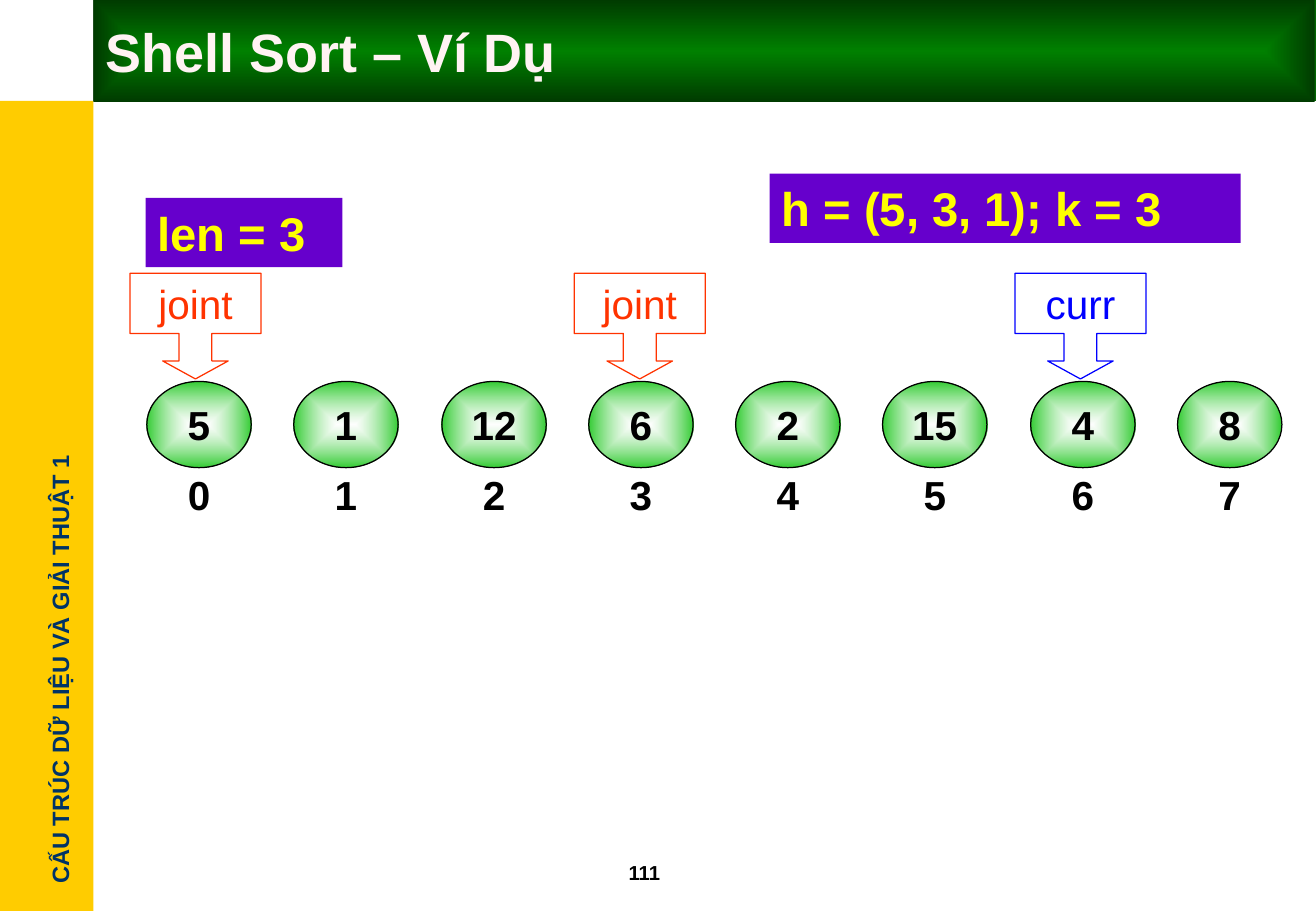
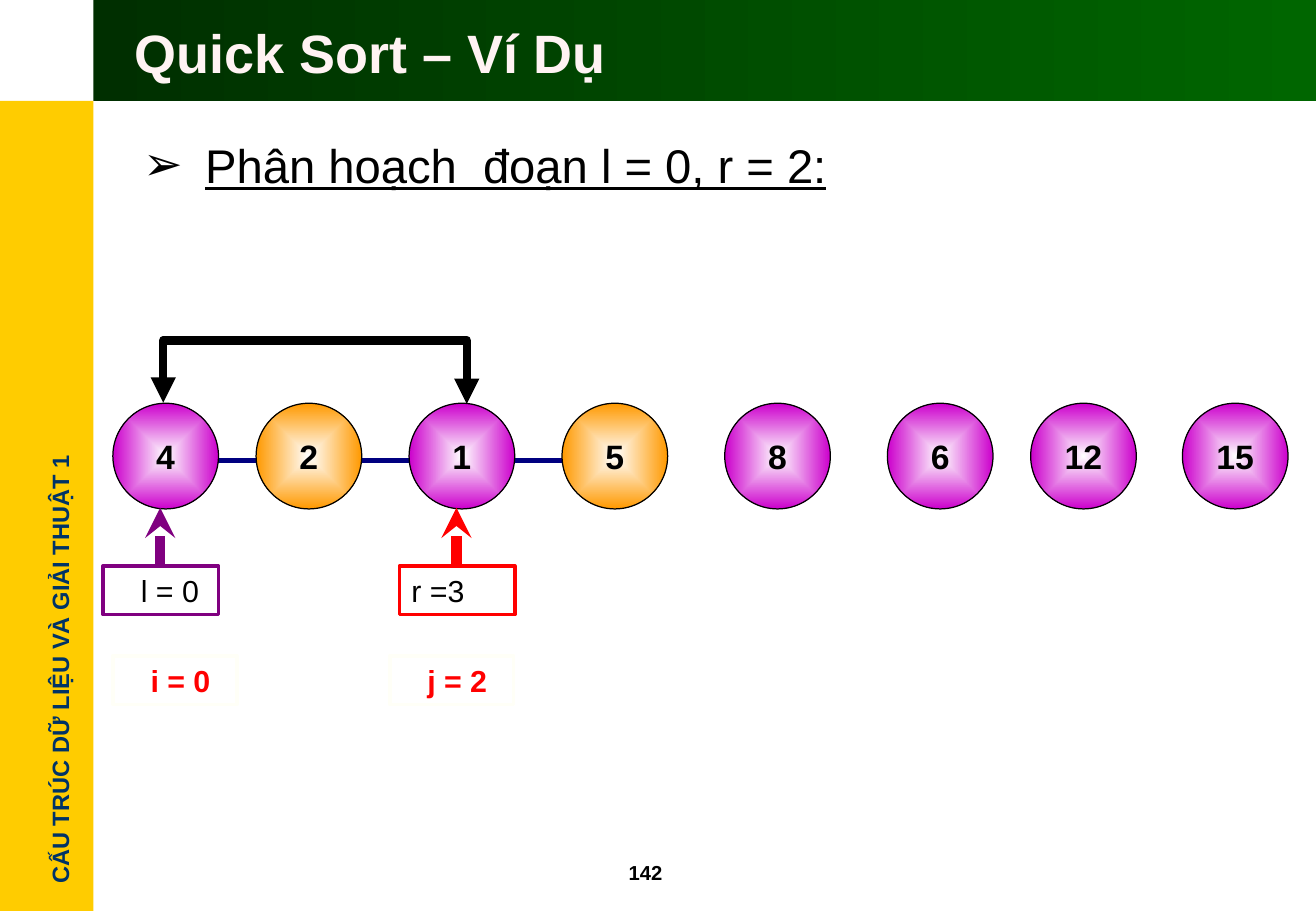
import pptx
import pptx.dml.color
import pptx.enum.shapes
import pptx.enum.text
import pptx.oxml
import pptx.oxml.ns
import pptx.util

RGB = pptx.dml.color.RGBColor
SHAPE = pptx.enum.shapes.MSO_SHAPE
CONNECTOR = pptx.enum.shapes.MSO_CONNECTOR
ALIGN = pptx.enum.text.PP_ALIGN
ANCHOR = pptx.enum.text.MSO_ANCHOR
DRAWING = 'xmlns:a="http://schemas.openxmlformats.org/drawingml/2006/main"'

# One px is a hundredth of an inch
SCALE = 9144
PAGE_WIDTH, PAGE_HEIGHT = 1084, 750
SIDE_WIDTH, BAND_HEIGHT = 77, 83

BLACK = RGB(0x00, 0x00, 0x00)
WHITE = RGB(0xFF, 0xFF, 0xFF)
GOLD = RGB(0xFF, 0xCC, 0x00)
NAVY_TEXT = RGB(0x00, 0x33, 0x66)
TITLE_TEXT = RGB(0xFF, 0xF3, 0xF3)
BAND_DARK = RGB(0x00, 0x2F, 0x00)
BAND_LIGHT = RGB(0x00, 0x66, 0x00)
TITLE_CENTRE = RGB(0x00, 0x80, 0x00)
TITLE_EDGE = RGB(0x00, 0x3B, 0x00)
GREEN = RGB(0x33, 0xCC, 0x33)
VIOLET = RGB(0x66, 0x00, 0xCC)
YELLOW = RGB(0xFF, 0xFF, 0x00)
BLUE = RGB(0x00, 0x00, 0xFF)
ORANGE_RED = RGB(0xFF, 0x33, 0x00)
MAGENTA = RGB(0xCC, 0x00, 0xCC)
ORANGE = RGB(0xFF, 0x99, 0x00)
NAVY = RGB(0x00, 0x00, 0x80)
PURPLE = RGB(0x80, 0x00, 0x80)
RED = RGB(0xFF, 0x00, 0x00)
IVORY = RGB(0xFF, 0xFF, 0xF7)


def px(*lengths):
    return [pptx.util.Emu(length * SCALE) for length in lengths]


def write(shape, text, size, color=BLACK, align=ALIGN.LEFT, anchor=ANCHOR.TOP,
          wrap=True, inset=10, **font_format):
    """Fill a shape with one formatted paragraph and return it."""
    frame_format = {"word_wrap": wrap, "vertical_anchor": anchor,
                    "auto_size": pptx.enum.text.MSO_AUTO_SIZE.NONE}
    frame_format.update(zip(
        ("margin_left", "margin_top", "margin_right", "margin_bottom"),
        px(inset, 5, 10, 5)))
    for name, value in frame_format.items():
        setattr(shape.text_frame, name, value)
    para = shape.text_frame.paragraphs[0]
    para.alignment = align
    para.space_before = pptx.util.Pt(0)
    span = para.add_run()
    span.text = text
    span_format = {"name": "Arial", "size": pptx.util.Pt(size), **font_format}
    for name, value in span_format.items():
        setattr(span.font, name, value)
    span.font.color.rgb = color
    return para


def draw(page, kind, box, fill=None, line=None, weight=0.75):
    shape = page.shapes.add_shape(kind, *px(*box))
    shape.shadow.inherit = False
    if fill is None:
        shape.fill.background()
    else:
        shape.fill.solid()
        shape.fill.fore_color.rgb = fill
    if line is None:
        shape.line.fill.background()
    else:
        shape.line.color.rgb = line
        shape.line.width = pptx.util.Pt(weight)
    return shape


def shade(shape, centre, edge, opacity=100):
    """Give a shape a gradient that runs from its centre to its edges."""
    shape.fill.background()
    blank = shape.element.spPr.find(pptx.oxml.ns.qn("a:noFill"))
    gradient = pptx.oxml.parse_xml(
        f'<a:gradFill {DRAWING} rotWithShape="1"><a:gsLst>'
        f'<a:gs pos="0"><a:srgbClr val="{centre}">'
        f'<a:alpha val="{opacity * 1000}"/></a:srgbClr></a:gs>'
        f'<a:gs pos="100000"><a:srgbClr val="{edge}"/></a:gs></a:gsLst>'
        '<a:path path="rect"><a:fillToRect l="50000" t="50000" r="50000"'
        ' b="50000"/></a:path></a:gradFill>')
    shape.element.spPr.replace(blank, gradient)


def connect(page, start, end, color, weight, kind=CONNECTOR.STRAIGHT,
            head=None, tail=None):
    link = page.shapes.add_connector(kind, *px(*start, *end))
    link.line.color.rgb = color
    link.line.width = pptx.util.Pt(weight)
    outline = link.line._get_or_add_ln()
    for tag, tip in (("headEnd", head), ("tailEnd", tail)):
        if tip:
            outline.append(pptx.oxml.parse_xml(f'<a:{tag} {DRAWING} type="{tip}"/>'))
    link.element.spPr.append(pptx.oxml.parse_xml(f"<a:effectLst {DRAWING}/>"))
    return link


# Parts that the slides share

def build_master(deck):
    """Put the side bar, its label and the title band on the slide master."""
    page = deck.slides[0]
    side = draw(page, SHAPE.RECTANGLE,
                (0, BAND_HEIGHT, SIDE_WIDTH, PAGE_HEIGHT - BAND_HEIGHT), GOLD)
    label = page.shapes.add_textbox(*px(-137, 534, 373, 34))
    label.rotation = 270
    write(label, "CẤU TRÚC DỮ LIỆU VÀ GIẢI THUẬT 1", 14, NAVY_TEXT,
          wrap=False, bold=True)
    band = draw(page, SHAPE.RECTANGLE,
                (SIDE_WIDTH, 0, PAGE_WIDTH - SIDE_WIDTH, BAND_HEIGHT))
    band.fill.gradient()
    band.fill.gradient_angle = 0
    for stop, color in zip(band.fill.gradient_stops, (BAND_DARK, BAND_LIGHT)):
        stop.color.rgb = color
    for shape in (side, label, band):
        deck.slide_master.shapes.element.append(shape.element)


def place(holder, box):
    for name, value in zip(("left", "top", "width", "height"), px(*box)):
        setattr(holder, name, value)


def head_page(page, title, box, number):
    """Set the title and the page number."""
    place(page.shapes.title, box)
    write(page.shapes.title, title, 32, TITLE_TEXT, anchor=ANCHOR.MIDDLE, bold=True)
    write(page.shapes.add_textbox(*px(508, 703, 83, 30)), number, 12, bold=True)


def add_ball(page, box, value, size, color, anchor, opacity=100):
    ball = draw(page, SHAPE.OVAL, box, line=BLACK)
    shade(ball, WHITE, color, opacity)
    write(ball, value, size, align=ALIGN.CENTER, anchor=anchor, wrap=False, bold=True)


# Shell sort

def shell_array(page, box, values):
    """Draw the numbered row of green balls over the given box."""
    left, top, width, height = box
    ball_width = 86
    pitch = (width - ball_width) / (len(values) - 1)
    for index, value in enumerate(values):
        x = left + round(index * pitch)
        add_ball(page, (x, top, ball_width, height), value, 24, GREEN, ANCHOR.TOP, 60)
        caption = page.shapes.add_textbox(*px(x, top + height - 3, ball_width, 50))
        write(caption, str(index), 24, align=ALIGN.CENTER, bold=True)


def add_tag(page, box, text):
    write(draw(page, SHAPE.RECTANGLE, box, VIOLET), text, 28, YELLOW, bold=True)


def add_callout(page, left, top, text, color):
    callout = draw(page, SHAPE.DOWN_ARROW_CALLOUT, (left, top, 108, 87), line=color)
    for index, value in enumerate((0.31, 0.31, 0.17, 0.57)):
        callout.adjustments[index] = value
    write(callout, text, 24, color, align=ALIGN.CENTER)


def shell_page(page):
    head_page(page, "Shell Sort – Ví Dụ", (77, 0, 1006, 84), "111")
    shade(page.shapes.title, TITLE_CENTRE, TITLE_EDGE)
    shell_array(page, (121, 314, 935, 71), ("5", "1", "12", "6", "2", "15", "4", "8"))
    add_tag(page, (634, 143, 388, 57), "h = (5, 3, 1); k = 3")
    add_tag(page, (120, 163, 162, 57), "len = 3")
    for left, text, color in ((107, "joint", ORANGE_RED), (473, "joint", ORANGE_RED),
                              (836, "curr", BLUE)):
        add_callout(page, left, 225, text, color)


# Quick sort

def partition_heading(holder, box, text):
    """Write the bulleted, underlined line of the body."""
    place(holder, box)
    para = write(holder, text, 28, underline=True)
    properties = para._p.get_or_add_pPr()
    for name, value in (("marL", 51), ("indent", -51)):
        properties.set(name, str(value * SCALE))
    for bullet in (f'<a:buClr {DRAWING}><a:srgbClr val="{BLACK}"/></a:buClr>',
                   f'<a:buFont {DRAWING} typeface="Arial"/>',
                   f'<a:buChar {DRAWING} char="➢"/>'):
        properties.append(pptx.oxml.parse_xml(bullet))


def quick_array(page, top, balls):
    connect(page, (132, top + 47), (502, top + 47), NAVY, 3)
    for left, value, color in balls:
        add_ball(page, (left, top, 87, 87), value, 20, color, ANCHOR.MIDDLE)


def add_bound(page, box, text, color, inset):
    """Draw a boxed bound with an arrow up to its ball."""
    left, top, width, height = box
    bound = draw(page, SHAPE.RECTANGLE, box, line=color, weight=2.25)
    write(bound, text, 18, inset=inset)
    middle = left + width // 2
    connect(page, (middle, top), (middle, top - 48), color, 6, tail="stealth")


def add_index(page, left, text):
    index = draw(page, SHAPE.RECTANGLE, (left, 540, 102, 40), line=IVORY, weight=2.25)
    write(index, text, 18, RED, inset=31, bold=True)


def swap_arrow(page, left, right, bottom, rise):
    """Join two balls from above with an elbow turned on its side."""
    span, middle = right - left, (left + right) // 2
    start = (middle, bottom - span // 2)
    arrow = connect(page, start, (middle + 1, start[1] + span), BLACK, 5,
                    CONNECTOR.ELBOW, "triangle", "triangle")
    frame = arrow.element.spPr.find(pptx.oxml.ns.qn("a:xfrm"))
    for name, value in (("rot", 270 * 60000), ("flipH", 1)):
        frame.set(name, str(value))
    geometry = arrow.element.spPr.find(pptx.oxml.ns.qn("a:prstGeom"))
    for guides in list(geometry):
        geometry.remove(guides)
    geometry.append(pptx.oxml.parse_xml(
        f'<a:avLst {DRAWING}><a:gd name="adj1" fmla="val {-rise * 100000}"/></a:avLst>'))


def quick_page(page):
    head_page(page, "Quick Sort – Ví Dụ", (101, 9, 961, 67), "142")
    partition_heading(page.placeholders[1], (108, 107, 650, 110),
                      "Phân hoạch  đoạn l = 0, r = 2:")
    quick_array(page, 332, (
        (93, "4", MAGENTA), (211, "2", ORANGE), (337, "1", MAGENTA),
        (463, "5", ORANGE), (597, "8", MAGENTA), (731, "6", MAGENTA),
        (849, "12", MAGENTA), (974, "15", MAGENTA)))
    add_bound(page, (85, 466, 95, 40), "l = 0", PURPLE, 31)
    add_bound(page, (329, 466, 95, 40), "r =3", RED, 10)
    add_index(page, 93, "i = 0")
    add_index(page, 321, "j = 2")
    swap_arrow(page, 134, 384, 332, 52)


def main():
    deck = pptx.Presentation()
    deck.slide_width, deck.slide_height = px(PAGE_WIDTH, PAGE_HEIGHT)
    title_only, title_and_body = deck.slide_layouts[5], deck.slide_layouts[1]
    first_page = deck.slides.add_slide(title_only)
    build_master(deck)
    shell_page(first_page)
    quick_page(deck.slides.add_slide(title_and_body))
    deck.save("out.pptx")


if __name__ == "__main__":
    main()
